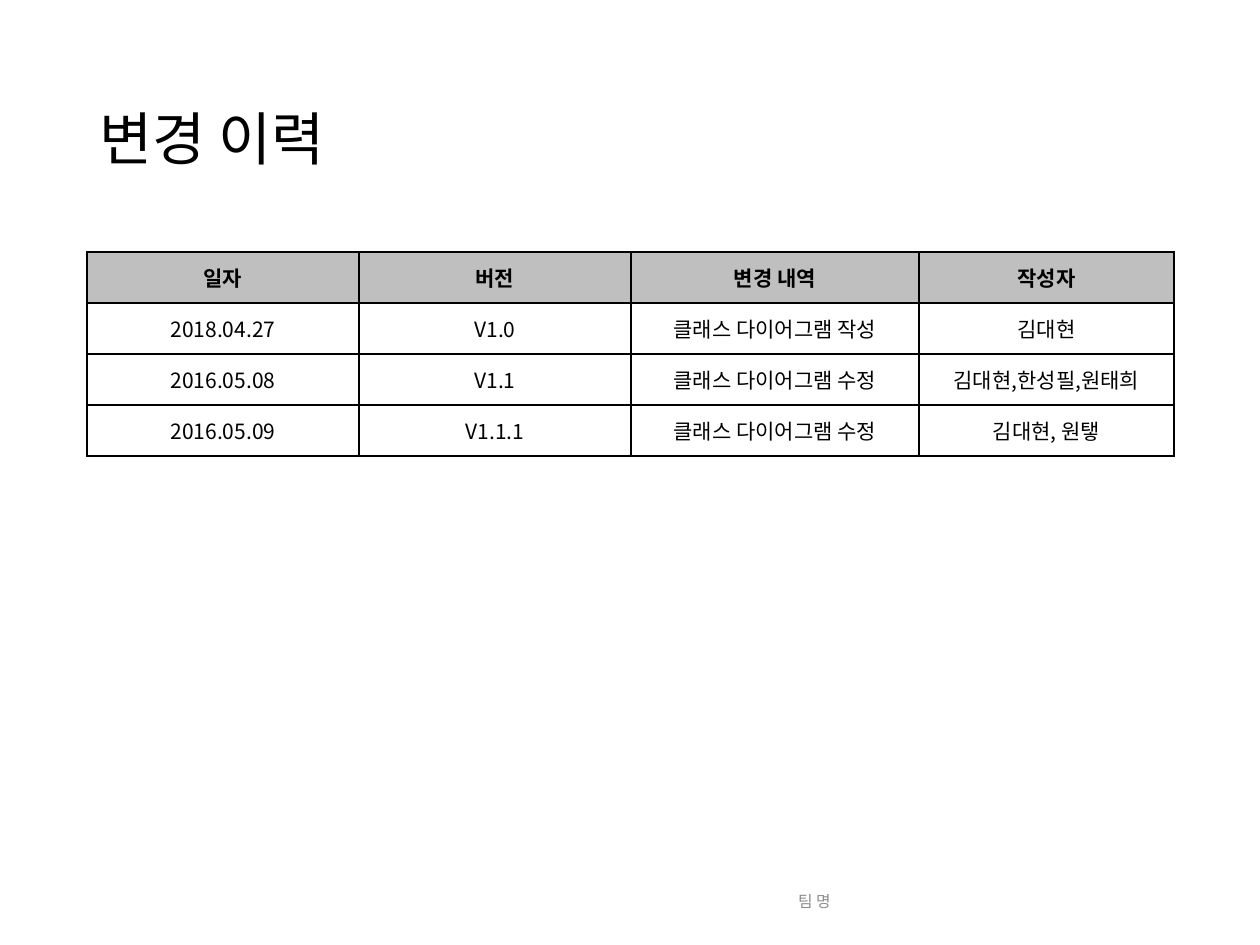
from pptx import Presentation
from pptx.dml.color import RGBColor
from pptx.enum.text import MSO_ANCHOR, PP_ALIGN
from pptx.oxml import parse_xml
from pptx.oxml.ns import nsdecls
from pptx.util import Pt

PIXEL = 914400 // 126
FONT = "Noto Sans CJK KR"
BLACK = RGBColor(0x00, 0x00, 0x00)
WHITE = RGBColor(0xFF, 0xFF, 0xFF)
HEADER_GRAY = RGBColor(0xBF, 0xBF, 0xBF)
FOOTER_GRAY = RGBColor(0x8C, 0x8C, 0x8C)


def write_text(text_frame, text, size, color, alignment, bold=False):
    paragraph = text_frame.paragraphs[0]
    paragraph.text = text
    paragraph.alignment = alignment
    font = paragraph.font
    font.size = Pt(size)
    font.bold = bold
    font.color.rgb = color
    font.name = FONT
    # East Asian typeface for the Korean text
    font._element.append(parse_xml(f'<a:ea {nsdecls("a")} typeface="{FONT}"/>'))
    return paragraph


def add_text(left, top, width, height, text, size, color, alignment):
    box = slide.shapes.add_textbox(*(n * PIXEL for n in (left, top, width, height)))
    box.text_frame.word_wrap = True
    box.text_frame.vertical_anchor = MSO_ANCHOR.MIDDLE
    return write_text(box.text_frame, text, size, color, alignment)


presentation = Presentation()
presentation.slide_width = 1260 * PIXEL
presentation.slide_height = 945 * PIXEL
slide = presentation.slides.add_slide(presentation.slide_layouts[6])

# Title
title = add_text(87, 50, 1086, 183, "변경 이력", 33, BLACK, PP_ALIGN.LEFT)
title.line_spacing = 0.9

# Change history table
history = [
    ("일자", "버전", "변경 내역", "작성자"),
    ("2018.04.27", "V1.0", "클래스 다이어그램 작성", "김대현"),
    ("2016.05.08", "V1.1", "클래스 다이어그램 수정", "김대현,한성필,원태희"),
    ("2016.05.09", "V1.1.1", "클래스 다이어그램 수정", "김대현, 원탷"),
]
column_widths = [272, 272, 288, 255]
row_height = 51
table = slide.shapes.add_table(
    len(history), len(column_widths), 87 * PIXEL, 252 * PIXEL,
    sum(column_widths) * PIXEL, len(history) * row_height * PIXEL,
).table
for column, width in zip(table.columns, column_widths):
    column.width = width * PIXEL

for row_index, texts in enumerate(history):
    is_header = row_index == 0
    table.rows[row_index].height = row_height * PIXEL
    for column_index, text in enumerate(texts):
        cell = table.cell(row_index, column_index)
        cell.vertical_anchor = MSO_ANCHOR.MIDDLE
        write_text(cell.text_frame, text, 12, BLACK, PP_ALIGN.CENTER, is_header)
        cell.fill.solid()
        cell.fill.fore_color.rgb = HEADER_GRAY if is_header else WHITE
        # Borders come before the fill in the cell properties
        properties = cell._tc.get_or_add_tcPr()
        for position, side in enumerate(("lnL", "lnR", "lnT", "lnB")):
            properties.insert(position, parse_xml(
                f'<a:{side} {nsdecls("a")} w="{Pt(1)}"><a:solidFill>'
                f'<a:srgbClr val="{BLACK}"/></a:solidFill></a:{side}>'))

# Footer
add_text(417, 876, 426, 50, "팀 명", 9, FOOTER_GRAY, PP_ALIGN.RIGHT)

presentation.save("out.pptx")
